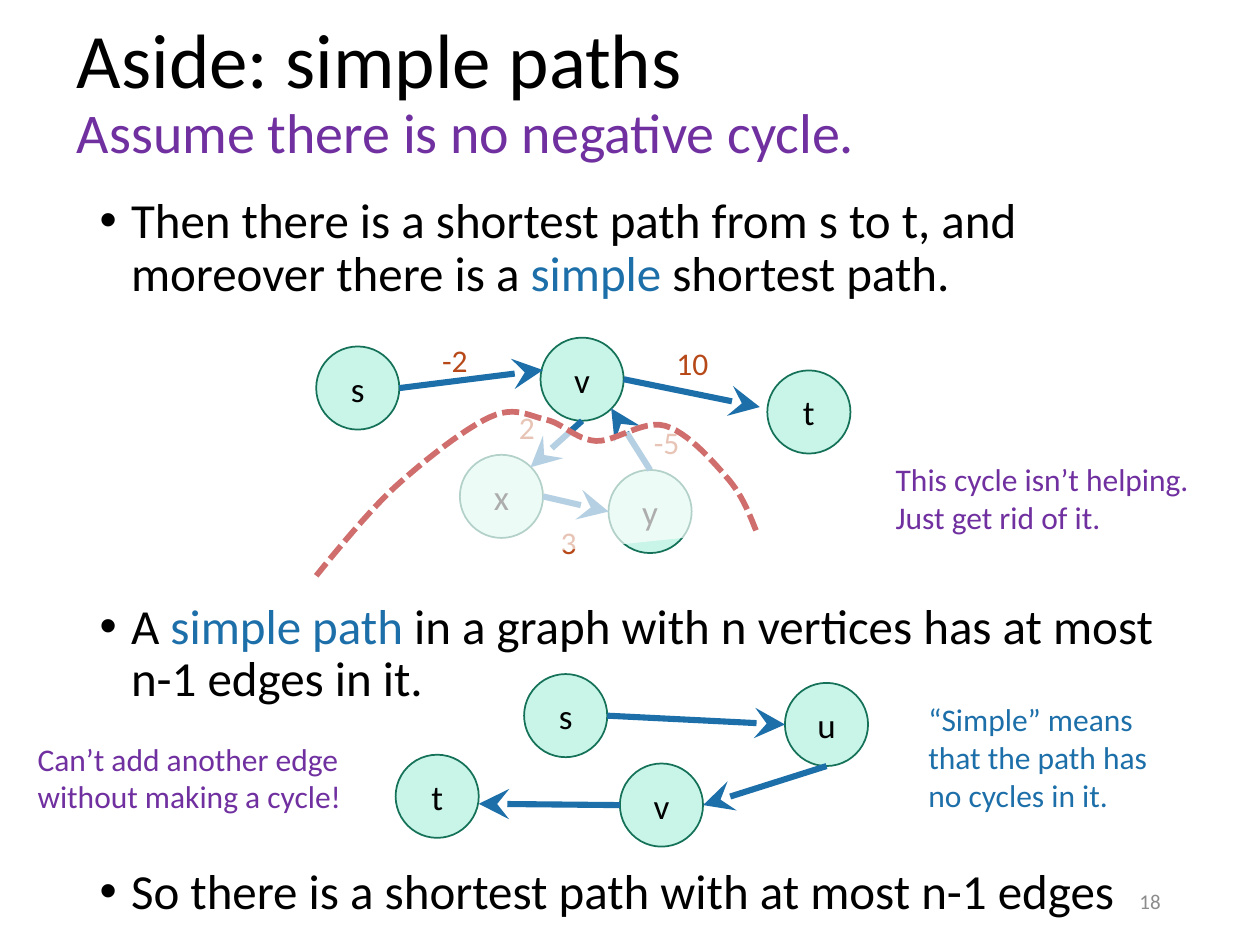
from dataclasses import dataclass

from lxml.etree import SubElement
from pptx import Presentation
from pptx.dml.color import RGBColor
from pptx.enum.dml import MSO_LINE
from pptx.enum.shapes import MSO_CONNECTOR, MSO_SHAPE
from pptx.enum.text import MSO_ANCHOR, MSO_AUTO_SIZE, PP_ALIGN
from pptx.oxml.ns import qn
from pptx.util import Inches, Pt

CELL = Inches(0.1)
NODE_SIZE = 6.6
TOP, BOTTOM, LEFT, RIGHT = (0.5, 0), (0.5, 1), (0, 0.5), (1, 0.5)
TOP_RIGHT, BOTTOM_RIGHT = (0.85, 0.15), (0.85, 0.85)


@dataclass(frozen=True)
class Theme:
    font: str = "Calibri"
    ink: str = "000000"
    purple: str = "7030A0"
    blue: str = "1D6FA9"
    rust: str = "B74919"
    mint: str = "C8F5E8"
    green: str = "157259"
    red: str = "CF6E6C"
    veil: str = "FFFFFF"
    gray: str = "8C8C8C"
    title: float = 44
    subtitle: float = 32
    body: float = 28
    node: float = 20
    note: float = 18
    number: float = 12


THEME = Theme()


@dataclass(frozen=True)
class Box:
    column: float
    row: float
    columns: float
    rows: float

    def inner(self, column, row, columns, rows):
        return Box(self.column + column, self.row + row, columns, rows)

    def share(self, across, down):
        return self.column + across * self.columns, self.row + down * self.rows

    def lengths(self):
        return [emu(value) for value in (self.column, self.row, self.columns, self.rows)]


def emu(cells):
    return int(cells * CELL)


def color(code):
    return RGBColor.from_string(code)


def move(shape, box):
    shape.left, shape.top, shape.width, shape.height = box.lengths()


def write(para, text, size=THEME.note, ink=THEME.ink):
    span = para.add_run()
    span.text = text
    span.font.name = THEME.font
    span.font.size = Pt(size)
    span.font.color.rgb = color(ink)


def add_note(shapes, box, text, align=PP_ALIGN.LEFT, anchor=MSO_ANCHOR.TOP, **style):
    frame = shapes.add_textbox(*box.lengths()).text_frame
    frame.word_wrap = True
    frame.auto_size = MSO_AUTO_SIZE.SHAPE_TO_FIT_TEXT
    frame.vertical_anchor = anchor
    para = frame.paragraphs[0]
    para.alignment = align
    write(para, text, **style)


def fill_title(title, box):
    move(title, box)
    frame = title.text_frame
    frame.auto_size = MSO_AUTO_SIZE.NONE
    frame.vertical_anchor = MSO_ANCHOR.MIDDLE
    para = frame.paragraphs[0]
    para.alignment = PP_ALIGN.LEFT
    para.line_spacing = 0.9
    write(para, "Aside: simple paths", THEME.title)
    para.add_line_break()
    write(para, "Assume there is no negative cycle.", THEME.subtitle, THEME.purple)


def fill_body(body, box, items):
    move(body, box)
    frame = body.text_frame
    frame.auto_size = MSO_AUTO_SIZE.NONE
    frame.vertical_anchor = MSO_ANCHOR.TOP
    for index, (space, spans) in enumerate(items):
        para = frame.add_paragraph() if index else frame.paragraphs[0]
        properties = para._p.get_or_add_pPr()
        properties.set("marL", str(Inches(0.25)))
        properties.set("indent", str(-Inches(0.25)))
        SubElement(properties, qn("a:buChar"), char="•")
        para.line_spacing = 0.9
        para.space_before = Pt(space)
        for text, ink in spans:
            write(para, text, THEME.body, ink)


def add_node(shapes, box, name):
    node = shapes.add_shape(MSO_SHAPE.OVAL, *box.lengths())
    node.shadow.inherit = False
    node.fill.solid()
    node.fill.fore_color.rgb = color(THEME.mint)
    node.line.color.rgb = color(THEME.green)
    node.line.width = Pt(1)
    frame = node.text_frame
    frame.vertical_anchor = MSO_ANCHOR.MIDDLE
    frame.paragraphs[0].alignment = PP_ALIGN.CENTER
    write(frame.paragraphs[0], name, THEME.node)


def add_edge(shapes, start, end):
    edge = shapes.add_connector(MSO_CONNECTOR.STRAIGHT, *map(emu, start + end))
    edge.line.color.rgb = color(THEME.blue)
    edge.line.width = Pt(3.5)
    SubElement(edge.line._get_or_add_ln(), qn("a:tailEnd"), type="stealth", w="lg", len="lg")
    SubElement(edge._element.spPr, qn("a:effectLst"))


def add_graph(page, box, nodes, edges, weights=()):
    shapes = page.shapes.add_group_shape().shapes
    places = {name: box.inner(*spot, NODE_SIZE, NODE_SIZE) for name, spot in nodes.items()}
    for name, place in places.items():
        add_node(shapes, place, name)
    for source, exit_side, target, entry_side in edges:
        add_edge(shapes, places[source].share(*exit_side), places[target].share(*entry_side))
    for text, column, row in weights:
        add_note(shapes, box.inner(column, row, 5.5, 4), text, ink=THEME.rust)


def curve_points(start, curves, steps=12):
    for first, second, end in curves:
        for step in range(1, steps + 1):
            t = step / steps
            factors = ((1 - t) ** 3, 3 * t * (1 - t) ** 2, 3 * t * t * (1 - t), t ** 3)
            corners = (start, first, second, end)
            yield tuple(sum(f * corner[axis] for f, corner in zip(factors, corners)) for axis in (0, 1))
        start = end


def add_veil(page, box, start, curves):
    def place(point):
        return emu(box.column + point[0]), emu(box.row + point[1])

    builder = page.shapes.build_freeform(*place(start))
    builder.add_line_segments(map(place, curve_points(start, curves)), close=False)
    veil = builder.convert_to_shape()
    veil.shadow.inherit = False
    veil.fill.solid()
    veil.fill.fore_color.rgb = color(THEME.veil)
    SubElement(veil._element.spPr.find(qn("a:solidFill"))[0], qn("a:alpha"), val="68000")
    veil.line.color.rgb = color(THEME.red)
    veil.line.width = Pt(3.25)
    veil.line.dash_style = MSO_LINE.SQUARE_DOT


def main():
    deck = Presentation()
    deck.slide_width, deck.slide_height = Inches(10), Inches(7.5)
    page = deck.slides.add_slide(deck.slide_layouts[1])
    ink, blue = THEME.ink, THEME.blue
    fill_title(page.shapes.title, Box(5.1, 0.2, 86.2, 14.5))
    fill_body(page.placeholders[1], Box(6.9, 15.1, 86.2, 60.9), [
        (0, [("Then there is a shortest path from s to t, and moreover there is a ", ink),
             ("simple", blue), (" shortest path.", ink)]),
        (171, [("A ", ink), ("simple path ", blue),
               ("in a graph with n vertices has at most n-1 edges in it.", ink)]),
        (91, [("So there is a shortest path with at most n-1 edges", ink)])])
    add_graph(page, Box(31.4, 53.5, 37.5, 13.7),
              {"s": (10.2, 0), "u": (30.9, 0.7), "v": (17.8, 7.1), "t": (0, 6.4)},
              [("s", RIGHT, "u", LEFT), ("u", BOTTOM, "v", RIGHT), ("v", LEFT, "t", (1, 0.59))])
    add_graph(page, Box(25.1, 26.6, 42.4, 18.4),
              {"s": (0, 0.9), "v": (17.8, 0.2), "t": (35.8, 2.8), "x": (11.4, 9.5), "y": (23.2, 10.7)},
              [("s", RIGHT, "v", (0.03, 0.39)), ("v", RIGHT, "t", (-0.09, 0.44)),
               ("v", BOTTOM, "x", TOP_RIGHT), ("x", RIGHT, "y", LEFT), ("y", TOP, "v", BOTTOM_RIGHT)],
              [("-2", 9, 0), ("2", 15.1, 5.3), ("3", 18.4, 14.4), ("-5", 25.8, 6.5), ("10", 27.6, 0.2)])
    add_note(page.shapes, Box(72.7, 55.1, 20, 10.1),
             "“Simple” means that the path has no cycles in it.", ink=blue)
    add_note(page.shapes, Box(2, 58.2, 28.6, 7.1),
             "Can’t add another edge without making a cycle!", ink=THEME.purple)
    add_note(page.shapes, Box(70.1, 36, 25.9, 7.1),
             "This cycle isn’t helping. Just get rid of it.", ink=THEME.purple)
    add_veil(page, Box(25.1, 32.7, 34.9, 13), (34.9, 9.4), [
        ((34.3, 7.9), (33.7, 6.4), (32.5, 5.1)),
        ((31.3, 3.7), (29.4, 1.6), (27.7, 1.1)),
        ((25.9, 0.6), (23.7, 2.4), (22.2, 2.3)),
        ((20.6, 2.2), (19.6, 0.9), (18.2, 0.6)),
        ((16.8, 0.3), (15.8, -0.5), (13.8, 0.4)),
        ((11.8, 1.3), (8.5, 3.9), (6.2, 6)),
        ((3.9, 8.1), (0, 13), (0, 13))])
    add_note(page.shapes, Box(70.6, 69.5, 22.5, 4), "18", align=PP_ALIGN.RIGHT,
             anchor=MSO_ANCHOR.MIDDLE, size=THEME.number, ink=THEME.gray)
    deck.save("out.pptx")


if __name__ == "__main__":
    main()
